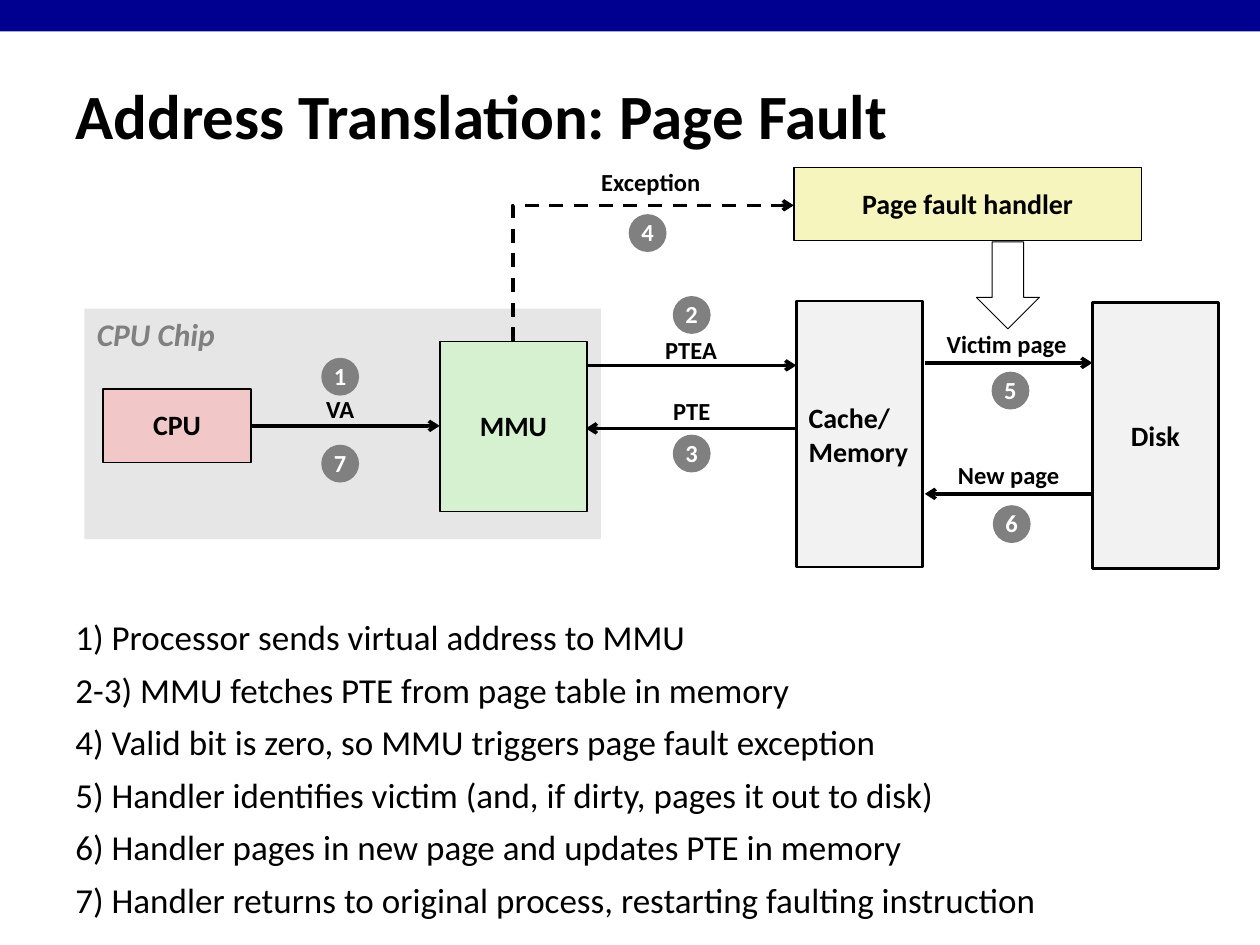
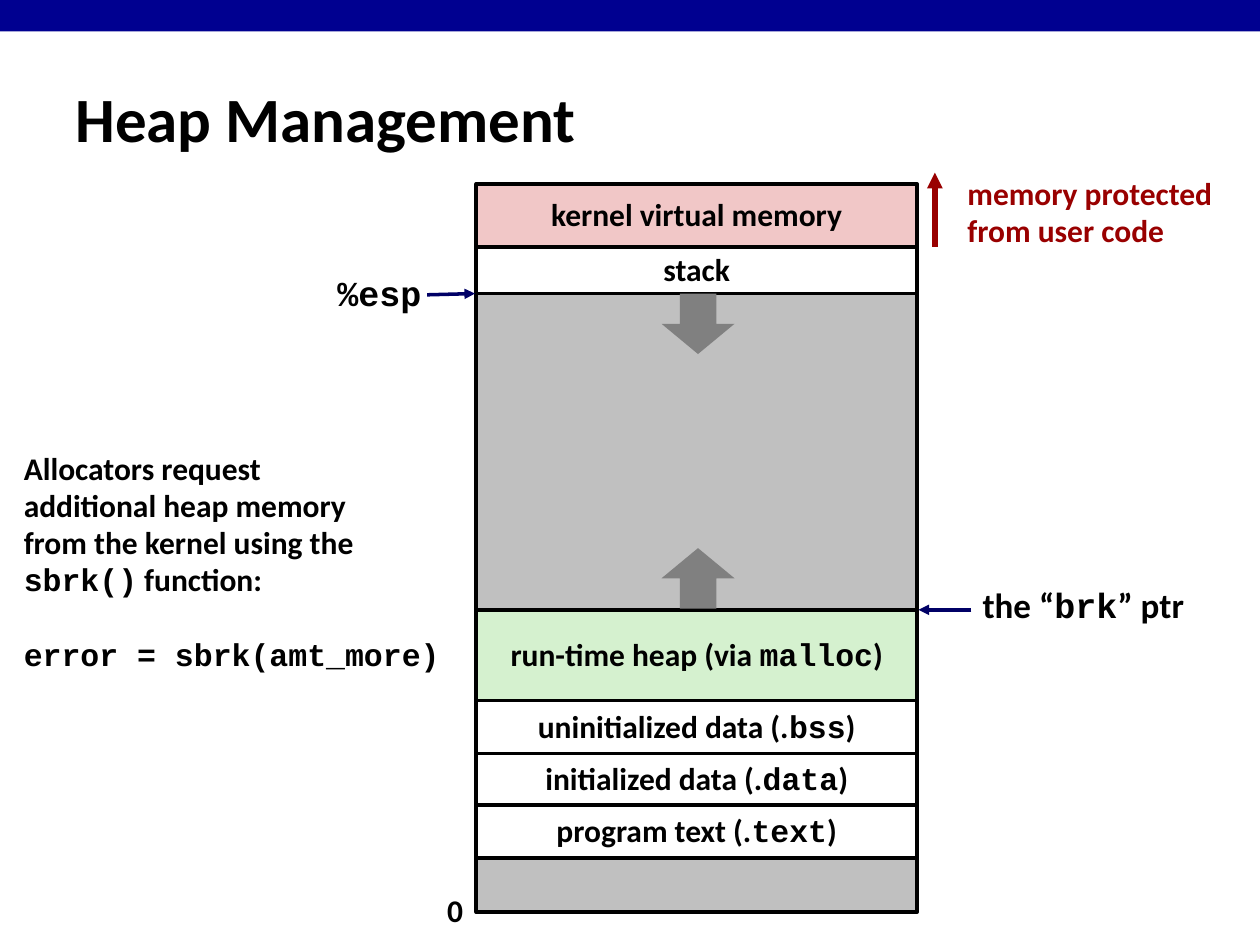
from lxml import etree
from pptx import Presentation
from pptx import util as u
from pptx.dml.color import RGBColor
from pptx.enum import dml, shapes, text
from pptx.oxml.ns import qn

COLORS = {
    "band": "000090", "black": "000000", "white": "FFFFFF", "chip": "E6E6E6",
    "green": "D5F1CF", "pink": "F1C7C7", "yellow": "F6F5BD", "storage": "F2F2F2",
    "gray": "808080", "unused": "C0C0C0", "navy": "000066", "red": "990000",
}
SANS, MONO = "Calibri", "Courier New"
SHAPE = shapes.MSO_SHAPE
LEFT, CENTER = text.PP_ALIGN.LEFT, text.PP_ALIGN.CENTER
TOP, MIDDLE = text.MSO_ANCHOR.TOP, text.MSO_ANCHOR.MIDDLE


def rgb(name):
    return RGBColor.from_string(COLORS[name])


def inches(values):
    return [u.Inches(v) for v in values]


class Deck:
    def __init__(self):
        self.prs = Presentation()
        self.prs.slide_width, self.prs.slide_height = u.Inches(10), u.Inches(7.5)
        self.s = None

    def slide(self, title, title_top):
        self.s = self.prs.slides.add_slide(self.prs.slide_layouts[6])
        self.box((0, 0, 10, 0.25), "band", line=None)
        self.label((0.5, title_top, 9.17, 0.86), title, 36, align=LEFT, spacing=1)

    def put_text(self, sp, content, size, color="black", align=CENTER, anchor=MIDDLE,
                 bold=True, italic=False, spacing=0.98, before=0, wrap=False):
        """Fill a shape with one paragraph a line; text between backticks is monospaced."""
        tf = sp.text_frame
        tf.word_wrap = wrap
        tf.vertical_anchor = anchor
        for i, line in enumerate(content.split("\n")):
            p = tf.add_paragraph() if i else tf.paragraphs[0]
            p.alignment, p.line_spacing = align, spacing
            p.space_before = u.Pt(before if i else 0)
            for j, part in enumerate(line.split("`")):
                if part:
                    r = p.add_run()
                    r.text = part
                    r.font.name = MONO if j % 2 else SANS
                    r.font.size = u.Pt(size)
                    r.font.bold, r.font.italic = bold, italic
                    r.font.color.rgb = rgb(color)

    def label(self, at, content, size=14, **style):
        sp = self.s.shapes.add_textbox(*inches(at))
        self.put_text(sp, content, size, **style)
        return sp

    def box(self, at, fill, content="", size=16, line=1, kind=SHAPE.RECTANGLE, **style):
        sp = self.s.shapes.add_shape(kind, *inches(at))
        sp.shadow.inherit = False
        if fill:
            sp.fill.solid()
            sp.fill.fore_color.rgb = rgb(fill)
        else:
            sp.fill.background()
        if line:
            sp.line.color.rgb = rgb("black")
            sp.line.width = u.Pt(line)
        else:
            sp.line.fill.background()
        if content:
            self.put_text(sp, content, size, **style)

    def badge(self, number, left, top):
        self.box((left, top, 0.3, 0.3), "gray", str(number), 14, line=None,
                 kind=SHAPE.OVAL, color="white")

    def arrow(self, start, end, color="black", width=2, head="arrow",
              kind=shapes.MSO_CONNECTOR.STRAIGHT):
        sp = self.s.shapes.add_connector(kind, *inches(start + end))
        sp.line.color.rgb = rgb(color)
        sp.line.width = u.Pt(width)
        sp_pr = sp._element.spPr
        etree.SubElement(sp_pr.find(qn("a:ln")), qn("a:tailEnd"), type=head)
        etree.SubElement(sp_pr, qn("a:effectLst"))
        return sp

    def corner_arrow(self, start, end):
        """Dashed arrow that goes up from start, then right to end."""
        cx, cy = (start[0] + end[0]) / 2, (start[1] + end[1]) / 2
        dx, dy = (end[0] - start[0]) / 2, (start[1] - end[1]) / 2
        # The unrotated frame swaps width and height around the same centre.
        sp = self.arrow((cx + dy, cy + dx), (cx - dy, cy - dx),
                        kind=shapes.MSO_CONNECTOR.ELBOW)
        sp.line.dash_style = dml.MSO_LINE.DASH
        sp_pr = sp._element.spPr
        sp_pr.find(qn("a:xfrm")).set("rot", "5400000")
        sp_pr.find(qn("a:prstGeom")).set("prst", "bentConnector2")


def page_fault(d):
    d.slide("Address Translation: Page Fault", 0.48)
    d.box((0.67, 2.45, 4.1, 1.83), "chip", line=None)
    d.label((0.67, 2.45, 1.16, 0.4), "CPU Chip", 18, color="gray", italic=True,
            align=LEFT, anchor=TOP, spacing=1)
    d.label((0.5, 4.92, 8.75, 2.25),
            "1) Processor sends virtual address to MMU\n"
            "2-3) MMU fetches PTE from page table in memory\n"
            "4) Valid bit is zero, so MMU triggers page fault exception\n"
            "5) Handler identifies victim (and, if dirty, pages it out to disk)\n"
            "6) Handler pages in new page and updates PTE in memory\n"
            "7) Handler returns to original process, restarting faulting instruction",
            20, bold=False, align=LEFT, anchor=TOP, spacing=0.73, before=12.5, wrap=True)

    d.box((3.49, 2.71, 1.17, 1.35), "green", "MMU")
    d.box((0.82, 3.09, 1.17, 0.58), "pink", "CPU")
    d.box((6.3, 1.33, 2.76, 0.58), "yellow", "Page fault handler")
    d.box((6.32, 2.39, 1, 2.11), "storage", "Cache/\nMemory", line=1.5,
          align=LEFT, spacing=1)
    d.box((8.67, 2.4, 1, 2.11), "storage", "Disk", line=1.5, spacing=1)

    for y, start, end in ((3.38, 1.99, 3.49), (2.9, 4.65, 6.32), (3.4, 6.32, 4.65),
                          (2.88, 7.34, 8.67), (3.92, 8.67, 7.34)):
        d.arrow((start, y), (end, y))
    d.corner_arrow((4.07, 2.71), (6.3, 1.63))
    d.box((7.75, 1.92, 0.5, 0.69), None, line=0.5, kind=SHAPE.DOWN_ARROW)

    for name, left, top, width in (
            ("VA", 2.49, 3.09, 0.42), ("PTEA", 5.18, 2.62, 0.61),
            ("PTE", 5.24, 3.1, 0.5), ("Victim page", 7.41, 2.57, 1.16),
            ("New page", 7.5, 3.61, 1.01), ("Exception", 4.67, 1.29, 0.99)):
        d.label((left, top, width, 0.33), name)
    steps = ((2.55, 2.84), (5.34, 2.35), (5.34, 3.45), (4.99, 1.7),
             (7.87, 2.95), (7.88, 4.01), (2.55, 3.53))
    for number, (left, top) in enumerate(steps, 1):
        d.badge(number, left, top)


def heap_management(d):
    d.slide("Heap Management", 0.5)
    top = 1.46
    for height, fill, content in (
            (0.5, "pink", "kernel virtual memory"),
            (0.37, "white", "stack"),
            (2.51, "unused", ""),
            (0.72, "green", "run-time heap (via `malloc`)"),
            (0.42, "white", "uninitialized data (.`bss`)"),
            (0.41, "white", "initialized data (.`data`)"),
            (0.42, "white", "program text (.`text`)"),
            (0.43, "unused", "")):
        d.box((3.78, top, 3.5, height), fill, content, 18, line=2)
        top += height
    for y, kind in ((2.33, SHAPE.DOWN_ARROW), (4.35, SHAPE.UP_ARROW)):
        d.box((5.25, y, 0.58, 0.48), "gray", line=None, kind=kind)

    note = {"align": LEFT, "anchor": TOP}
    d.label((3.45, 7.04, 0.33, 0.4), "0", 18, **note)
    d.label((2.58, 2.13, 0.87, 0.42), "`%esp`", 20, spacing=0.94, **note)
    d.label((7.58, 1.35, 2.16, 0.7), "memory protected\nfrom user code", 18,
            color="red", **note)
    d.label((7.7, 4.6, 1.87, 0.43), "the “`brk`” ptr", 20, **note)
    sp = d.label((0.09, 3.53, 3.78, 1.89),
                 "Allocators request\nadditional heap memory\nfrom the kernel using the\n"
                 "`sbrk()` function:\n`error = sbrk(amt_more)`", 18, wrap=True, **note)
    sp.text_frame.paragraphs[-1].space_before = u.Pt(21.5)

    d.arrow((3.39, 2.34), (3.77, 2.33), "navy", head="triangle")
    d.arrow((7.71, 4.84), (7.29, 4.84), "navy", head="triangle")
    d.arrow((7.42, 1.96), (7.42, 1.37), "red", 3, "triangle")


def main():
    d = Deck()
    page_fault(d)
    heap_management(d)
    d.prs.save("out.pptx")


if __name__ == "__main__":
    main()
